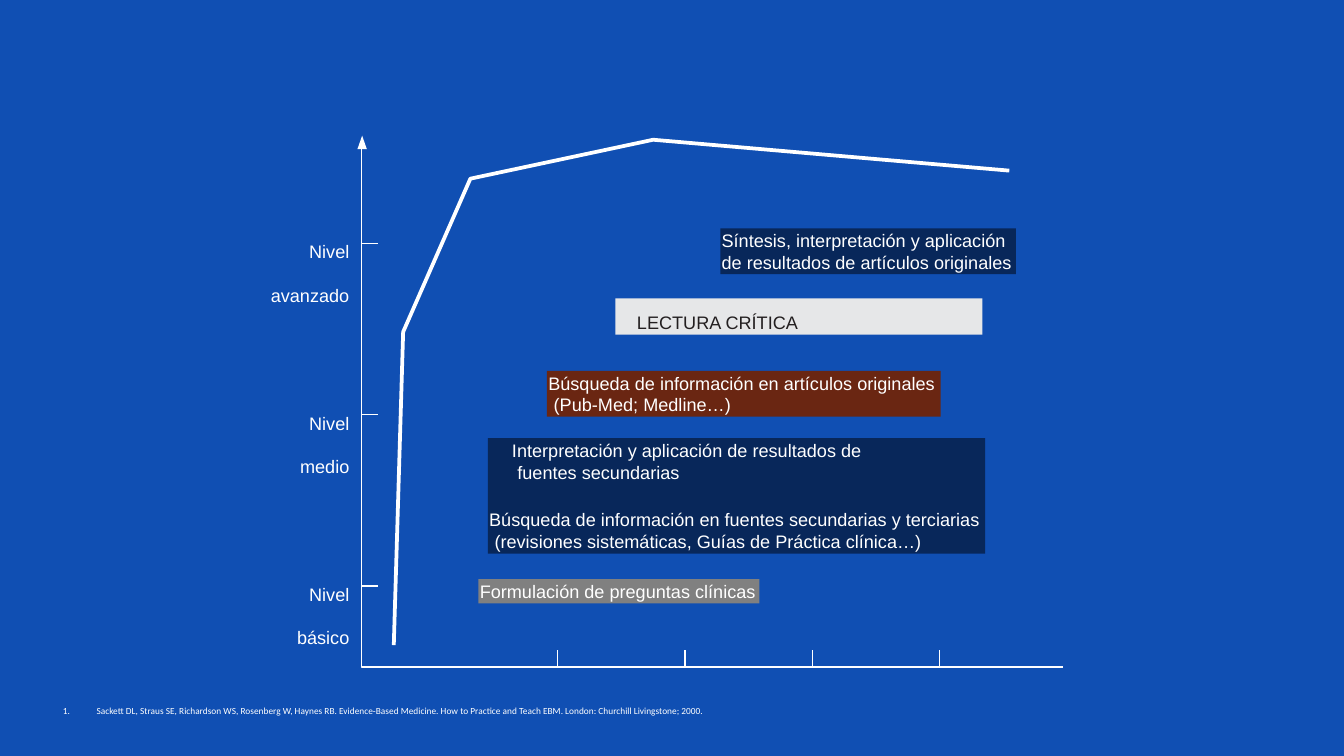
from pptx import Presentation
from pptx.dml.color import RGBColor
from pptx.enum.shapes import MSO_CONNECTOR, MSO_SHAPE
from pptx.enum.text import MSO_ANCHOR, PP_ALIGN
from pptx.oxml.ns import qn
from pptx.util import Inches, Pt
from lxml.etree import SubElement

BLUE = RGBColor(0x10, 0x4F, 0xB3)
WHITE = RGBColor(0xFF, 0xFF, 0xFF)
NAVY = RGBColor(0x08, 0x27, 0x5A)
RUST = RGBColor(0x6A, 0x26, 0x12)
GRAY = RGBColor(0x80, 0x80, 0x80)
PALE = RGBColor(0xE6, 0xE7, 0xE8)
INK = RGBColor(0x23, 0x1F, 0x20)

LEVELS = ["Nivel\vavanzado", "Nivel\vmedio", "Nivel\vbásico"]
STEPS = [
    (0.87, 3.3, 2.09, 0.18, GRAY, WHITE, 0.01, [("Formulación de preguntas clínicas", 0.01, 0)]),
    (0.94, 2.25, 3.7, 0.86, NAVY, WHITE, 0.01,
     [("Interpretación y aplicación de resultados de\vfuentes secundarias", 0.18, 0.04),
      ("Búsqueda de información en fuentes secundarias y terciarias\v"
       "(revisiones sistemáticas, Guías de Práctica clínica…)", 0.01, 0.04)]),
    (1.38, 1.75, 2.93, 0.34, RUST, WHITE, 0.01,
     [("Búsqueda de información en artículos originales\v(Pub-Med; Medline…)", 0.01, 0.04)]),
    (1.89, 1.21, 2.73, 0.27, PALE, INK, 0.1, [("LECTURA CRÍTICA", 0.16, 0)]),
    (2.67, 0.69, 2.2, 0.34, NAVY, WHITE, 0.01,
     [("Síntesis, interpretación y aplicación\vde resultados de artículos originales", 0.01, 0)]),
]
CURVE = [(4.82, 0.26), (2.17, 0.03), (0.81, 0.32), (0.31, 1.46), (0.24, 3.79)]
NOTE = ("Sackett DL, Straus SE, Richardson WS, Rosenberg W, Haynes RB. Evidence-Based Medicine. "
        "How to Practice and Teach EBM. London: Churchill Livingstone; 2000.")


def style(par, color, size=9.7, face="Arial"):
    """Set the font of a whole paragraph."""
    par.font.name = face
    par.font.size = Pt(size)
    par.font.color.rgb = color


def indent(par, left, first):
    """Set the left margin and first-line indent in inches."""
    props = par._p.get_or_add_pPr()
    props.set("marL", str(Inches(left)))
    props.set("indent", str(Inches(first)))
    return props


def frame(shape, top):
    """Return the wrapped text frame of a shape with tight insets."""
    body = shape.text_frame
    body.word_wrap = True
    body.vertical_anchor = MSO_ANCHOR.TOP
    body.margin_left = body.margin_right = body.margin_bottom = 0
    body.margin_top = Inches(top)
    return body


def add_path(slide, left, top, points, width):
    """Draw an open white line through points."""
    spots = [(Inches(left + x), Inches(top + y)) for x, y in points]
    build = slide.shapes.build_freeform(*spots[0])
    build.add_line_segments(spots[1:], close=False)
    line = build.convert_to_shape()
    line.shadow.inherit = False
    line.fill.background()
    line.line.color.rgb = WHITE
    line.line.width = Pt(width)


def add_tick(slide, x, y, wide, high):
    """Draw one tick mark."""
    tick = slide.shapes.add_connector(
        MSO_CONNECTOR.STRAIGHT, Inches(x), Inches(y), Inches(x + wide), Inches(y + high))
    tick.line.color.rgb = WHITE
    tick.line.width = Pt(0.75)
    SubElement(tick._element.spPr, qn("a:effectLst"))


def add_axes(slide, left, top, width, height):
    """Draw the axes, their ticks and the arrow tip."""
    base = top + height
    add_path(slide, left, top, [(width, height), (0, height), (0, 0.08)], 1)
    tip = slide.shapes.add_shape(
        MSO_SHAPE.ISOSCELES_TRIANGLE, Inches(left - 0.03), Inches(top), Inches(0.07), Inches(0.1))
    tip.shadow.inherit = False
    tip.fill.solid()
    tip.fill.fore_color.rgb = WHITE
    tip.line.fill.background()
    for row in range(3):
        add_tick(slide, left, top + 0.8 + row * 2.55 / 2, 0.12, 0)
    for col in range(4):
        add_tick(slide, left + 1.46 + col * 2.84 / 3, base - 0.12, 0, 0.12)


def add_levels(slide, left, top, width, pitch):
    """Place the level names beside the vertical axis."""
    for row, text in enumerate(LEVELS):
        box = slide.shapes.add_textbox(
            Inches(left), Inches(top + row * pitch), Inches(width), Inches(0.34))
        par = frame(box, 0.02).paragraphs[0]
        par.text = text
        par.alignment = PP_ALIGN.RIGHT
        par.line_spacing = 2.0
        style(par, WHITE)


def add_steps(slide, left, top):
    """Place the coloured boxes under the curve."""
    for x, y, wide, high, fill, color, inset, items in STEPS:
        box = slide.shapes.add_shape(
            MSO_SHAPE.RECTANGLE, Inches(left + x), Inches(top + y), Inches(wide), Inches(high))
        box.shadow.inherit = False
        box.fill.solid()
        box.fill.fore_color.rgb = fill
        box.line.fill.background()
        body = frame(box, inset)
        for index, (text, edge, hang) in enumerate(items):
            par = body.add_paragraph() if index else body.paragraphs[0]
            par.text = text
            indent(par, edge + hang, -hang)
            par.alignment = PP_ALIGN.LEFT
            if index:
                par.space_before = Pt(14)
            style(par, color)


def add_note(slide, left, top, width, height):
    """Place the numbered reference."""
    box = slide.shapes.add_textbox(Inches(left), Inches(top), Inches(width), Inches(height))
    body = box.text_frame
    body.word_wrap = True
    par = body.paragraphs[0]
    par.text = NOTE
    props = indent(par, 0.25, -0.25)
    SubElement(props, qn("a:buFont"), typeface="+mj-lt")
    SubElement(props, qn("a:buAutoNum"), type="arabicPeriod")
    style(par, WHITE, 5, "Calibri")


def main():
    """Build and save the slide."""
    deck = Presentation()
    deck.slide_width = Inches(10)
    deck.slide_height = deck.slide_width * 9 // 16
    slide = deck.slides.add_slide(deck.slide_layouts[6])
    slide.background.fill.solid()
    slide.background.fill.fore_color.rgb = BLUE
    add_axes(slide, 2.69, 1.01, 5.22, 3.95)
    add_path(slide, 2.69, 1.01, CURVE, 2)
    add_levels(slide, 1.8, 1.61, 0.8, 2.55 / 2)
    add_steps(slide, 2.69, 1.01)
    add_note(slide, 0.37, 5.2, 9.27, 0.19)
    deck.save("out.pptx")


if __name__ == "__main__":
    main()
